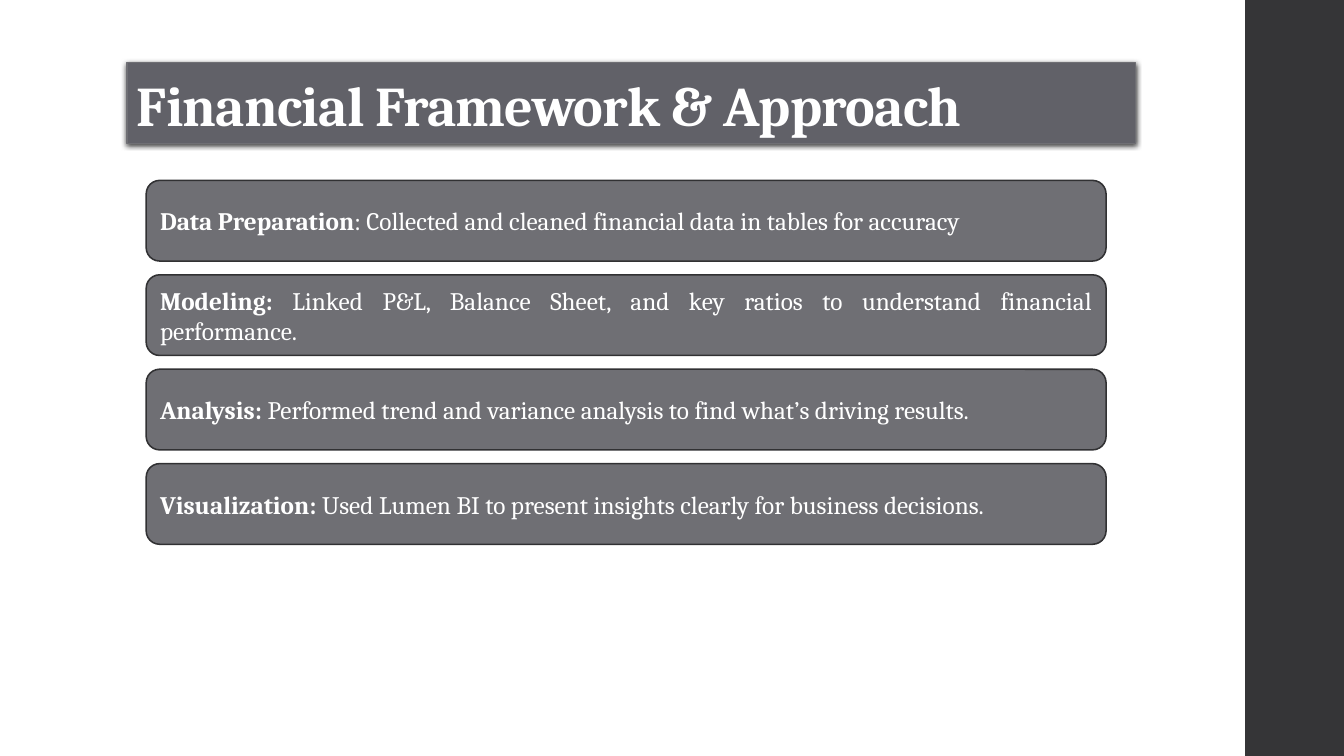
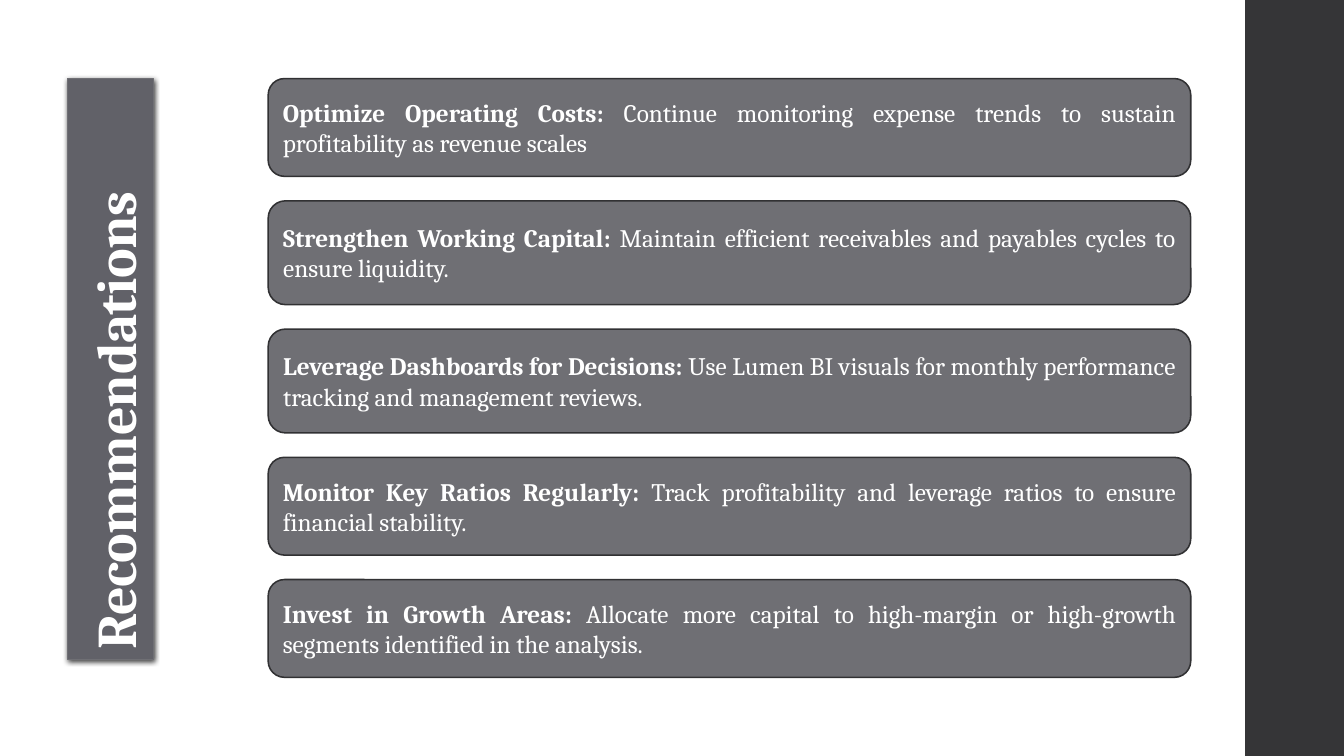
from dataclasses import dataclass

from lxml import etree
from pptx import Presentation
from pptx.dml.color import RGBColor
from pptx.enum import shapes, text
from pptx.oxml import ns
from pptx import util as u

EMU_PER_PX = 9144  # 100 px to the inch
SLIDE_W, SLIDE_H = 1333, 750


@dataclass(frozen=True)
class Theme:
    font: str = "Cambria"
    title_size: int = 40
    body_size: int = 18
    white: str = "FFFFFF"
    band: str = "353537"
    title_fill: str = "616168"
    card_fill: str = "6F6F74"
    card_line: str = "313133"
    shadow: str = "000000"


THEME = Theme()


def px(n):
    return u.Emu(round(n * EMU_PER_PX))


def add_box(slide, kind, box, fill, line=None, width=0.75):
    """Filled preset shape at box = (left, top, width, height) in px."""
    sp = slide.shapes.add_shape(kind, *map(px, box))
    sp.shadow.inherit = False
    sp.fill.solid()
    sp.fill.fore_color.rgb = RGBColor.from_string(fill)
    if line:
        sp.line.color.rgb = RGBColor.from_string(line)
        sp.line.width = u.Pt(width)
    else:
        sp.line.fill.background()
    return sp


def add_text(p, content, size=THEME.body_size, bold=False, spacing=None):
    """Add one formatted run to paragraph p; spacing is in 1/100 pt."""
    r = p.add_run()
    r.text = content
    r.font.name = THEME.font
    r.font.size = u.Pt(size)
    r.font.bold = bold
    r.font.color.rgb = RGBColor.from_string(THEME.white)
    if spacing is not None:
        r.font._element.set("spc", str(spacing))
    return r


def drop_shadow(sp, blur=4, dist=1.2, angle=90, alpha=75):
    effects = sp._element.spPr.find(ns.qn("a:effectLst"))
    outer = etree.SubElement(
        effects, ns.qn("a:outerShdw"), blurRad=str(u.Pt(blur)),
        dist=str(u.Pt(dist)), dir=str(angle * 60000), rotWithShape="0")
    color = etree.SubElement(outer, ns.qn("a:srgbClr"), val=THEME.shadow)
    etree.SubElement(color, ns.qn("a:alpha"), val=str(alpha * 1000))


def add_title(slide, box, content, vertical=False):
    """Title bar filling box; a vertical one reads from bottom to top."""
    x, y, w, h = box
    if vertical:
        box = (x + (w - h) / 2, y + (h - w) / 2, h, w)
    sp = add_box(slide, shapes.MSO_SHAPE.RECTANGLE, box,
                 THEME.title_fill, THEME.card_fill)
    sp.rotation = 270 if vertical else 0
    drop_shadow(sp)
    tf = sp.text_frame
    tf.word_wrap = True
    tf.vertical_anchor = text.MSO_ANCHOR.BOTTOM
    p = tf.paragraphs[0]
    p.alignment = text.PP_ALIGN.LEFT
    p.line_spacing = 0.9
    add_text(p, content, size=THEME.title_size, bold=True, spacing=-50)


def add_card(slide, box, heading, body):
    sp = add_box(slide, shapes.MSO_SHAPE.ROUNDED_RECTANGLE, box,
                 THEME.card_fill, THEME.card_line, 1.1)
    tf = sp.text_frame
    tf.word_wrap = True
    tf.vertical_anchor = text.MSO_ANCHOR.MIDDLE
    p = tf.paragraphs[0]
    p.alignment = text.PP_ALIGN.JUSTIFY
    add_text(p, heading, bold=True)
    add_text(p, body)


def add_cards(slide, box, heights, items):
    """Stack cards down the box with equal gaps."""
    x, y, w, h = box
    gap = (h - sum(heights)) / (len(items) - 1)
    for height, (heading, body) in zip(heights, items):
        add_card(slide, (x, y, w, height), heading, body)
        y += height + gap


def add_slide(prs, title, title_box, cards_box, heights, items, vertical=False):
    slide = prs.slides.add_slide(prs.slide_layouts[6])
    # Side band
    add_box(slide, shapes.MSO_SHAPE.RECTANGLE,
            (1235, 0, SLIDE_W - 1235, SLIDE_H), THEME.band)
    # Title and content
    add_title(slide, title_box, title, vertical)
    add_cards(slide, cards_box, heights, items)


FRAMEWORK = [
    ("Data Preparation",
     ": Collected and cleaned financial data in tables for accuracy"),
    ("Modeling: ",
     "Linked P&L, Balance Sheet, and key ratios to understand financial "
     "performance."),
    ("Analysis: ",
     "Performed trend and variance analysis to find what’s driving results."),
    ("Visualization: ",
     "Used Lumen BI to present insights clearly for business decisions."),
]

RECOMMENDATIONS = [
    ("Optimize Operating Costs:",
     " Continue monitoring expense trends to sustain profitability as "
     "revenue scales"),
    ("Strengthen Working Capital:",
     " Maintain efficient receivables and payables cycles to ensure "
     "liquidity."),
    ("Leverage Dashboards for Decisions:",
     " Use Lumen BI visuals for monthly performance tracking and management "
     "reviews."),
    ("Monitor Key Ratios Regularly:",
     " Track profitability and leverage ratios to ensure financial "
     "stability."),
    ("Invest in Growth Areas:",
     " Allocate more capital to high-margin or high-growth segments "
     "identified in the analysis."),
]


def main():
    prs = Presentation()
    prs.slide_width, prs.slide_height = px(SLIDE_W), px(SLIDE_H)
    add_slide(prs, "Financial Framework & Approach", (126, 62, 1000, 80),
              (145, 179, 952, 361), [80] * 4, FRAMEWORK)
    add_slide(prs, "Recommendations", (67, 78, 85, 576),
              (266, 78, 915, 594), [97, 103, 103, 97, 97],
              RECOMMENDATIONS, vertical=True)
    prs.save("out.pptx")


if __name__ == "__main__":
    main()
